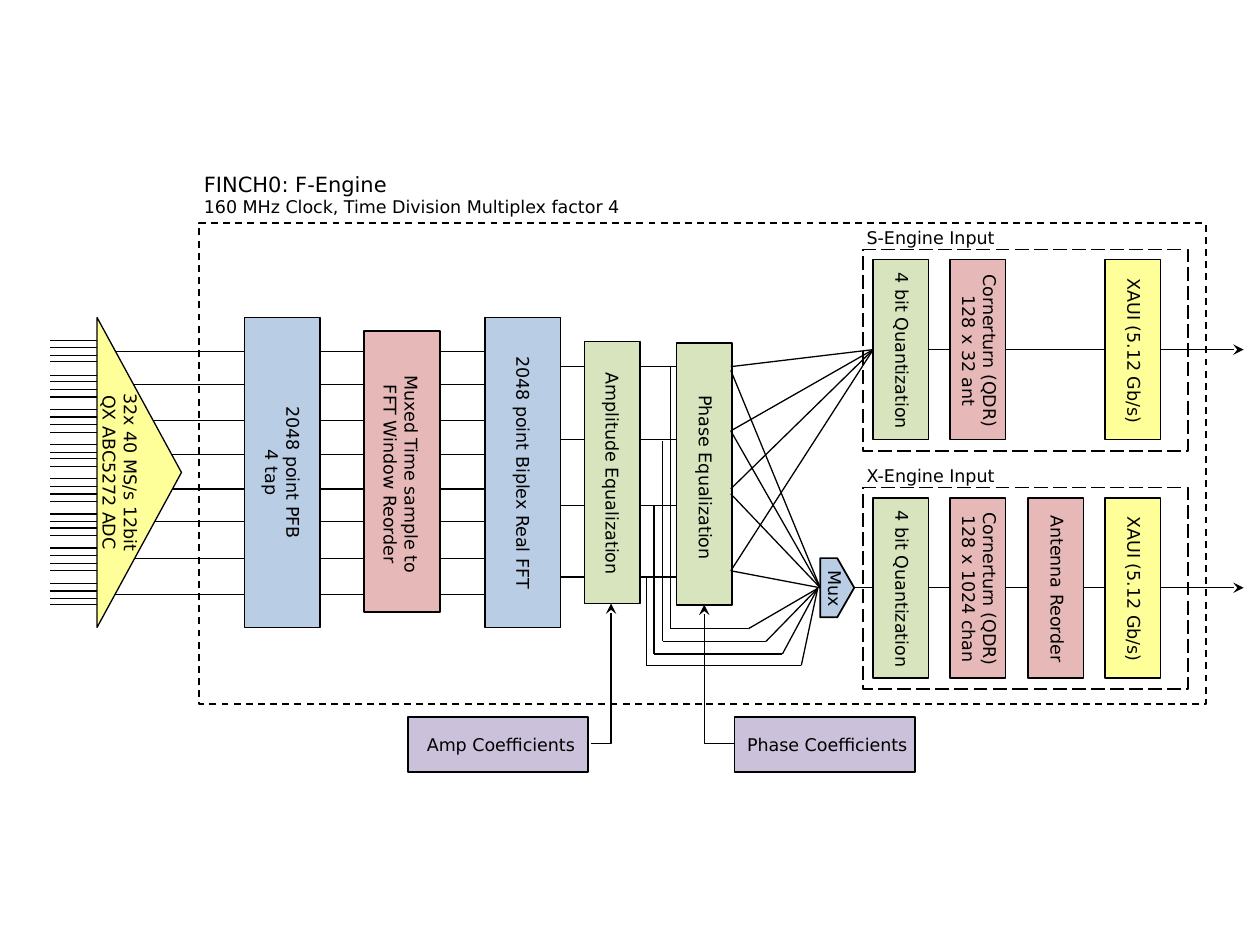
import pptx
import pptx.util
import pptx.dml.color
import pptx.enum.dml
import pptx.enum.shapes
import pptx.enum.text
import pptx.oxml.ns
from lxml import etree

PX = 9144  # 100 px to the inch
SHAPE = pptx.enum.shapes.MSO_SHAPE
CONN = pptx.enum.shapes.MSO_CONNECTOR
DASH = pptx.enum.dml.MSO_LINE
ALIGN = pptx.enum.text.PP_ALIGN
qn = pptx.oxml.ns.qn

BLUE, RED, GREEN = "B9CDE5", "E6B9B8", "D7E4BD"
YELLOW, PURPLE, BLACK = "FFFF99", "CCC1DA", "000000"


def emu(*px):
    return [round(v * PX) for v in px]


def rgb(color):
    return pptx.dml.color.RGBColor.from_string(color)


def shape(s, kind, x, y, w, h, fill=None, width=1, dash=None):
    sp = s.shapes.add_shape(kind, *emu(x, y, w, h))
    sp.shadow.inherit = False
    if fill:
        sp.fill.solid()
        sp.fill.fore_color.rgb = rgb(fill)
    else:
        sp.fill.background()
    sp.line.color.rgb = rgb(BLACK)
    sp.line.width = pptx.util.Pt(width)
    if dash:
        sp.line.dash_style = dash
    return sp


def line(s, x1, y1, x2, y2, arrow=False, kind=CONN.STRAIGHT):
    c = s.shapes.add_connector(kind, *emu(x1, y1, x2, y2))
    c.line.color.rgb = rgb(BLACK)
    c.line.width = pptx.util.Pt(0.75)
    if arrow:
        etree.SubElement(c.line._get_or_add_ln(), qn("a:tailEnd"), type="stealth")
    etree.SubElement(c._element.spPr, qn("a:effectLst"))
    return c


def corner_arrow(s, x1, y1, x2, y2):
    c = line(s, x1, y1, x2, y2, True, CONN.ELBOW)
    c._element.spPr.find(qn("a:prstGeom")).set("prst", "bentConnector2")


def text(s, content, x, y, w, h, rot=0, align=ALIGN.CENTER, sizes=(10, 10), wrap=False):
    tb = s.shapes.add_textbox(*emu(x, y, w, h))
    tb.rotation = rot
    tf = tb.text_frame
    tf.text = content
    tf.word_wrap = wrap
    tf.auto_size = pptx.enum.text.MSO_AUTO_SIZE.SHAPE_TO_FIT_TEXT
    for p, size in zip(tf.paragraphs, sizes):
        p.alignment = align
        for r in p.runs:
            r.font.size = pptx.util.Pt(size)
            r.font.name = "DejaVu Sans"
            r.font.color.rgb = rgb(BLACK)


def label(s, content, cx, cy, w, rot=90):
    h = 44 if "\n" in content else 27
    text(s, content, cx - w / 2, cy - h / 2, w, h, rot)


def block(s, x, y, w, h, fill, content, length, dx=1, dy=1, rot=90):
    sp = shape(s, SHAPE.RECTANGLE, x, y, w, h, fill)
    label(s, content, x + w / 2 + dx, y + h / 2 + dy, length, rot)
    return sp


def adc(s, x, y, w, h):
    # Sample lines, running behind the triangle to the FFT
    for i, dy in enumerate((27, 53, 82, 109, 136, 162, 191, 220)):
        left = x if i in (0, 4, 7) else x + 27
        line(s, left, y + dy, x + 308, y + dy)
    shape(s, SHAPE.ISOSCELES_TRIANGLE, x + (w - h) / 2, y + (h - w) / 2,
          h, w, YELLOW, 0.75).rotation = 90
    # Eight groups of four antenna inputs
    for group in range(8):
        for k in range(4):
            dy = round(18 + 27.57 * group + 5.8 * k)
            line(s, x - 37, y + dy, x, y + dy)
    label(s, "32x 40 MS/s 12bit\nQX ABC5272 ADC", x + 18, y + h / 2, 150)


def f_engine(s, x, y, w, h):
    # FFT outputs, behind the equalizers
    for dy in (114, 172, 224, 281):
        line(s, x + 287, y + dy, x + 388, y + dy)
    shape(s, SHAPE.RECTANGLE, x, y, w, h, dash=DASH.DASH)
    text(s, "FINCH0: F-Engine\n160 MHz Clock, Time Division Multiplex factor 4",
         x - 6, y - 46, 357, 47, align=ALIGN.LEFT, sizes=(12, 10))
    # Processing chain
    for bx, by, bw, bh, fill, content, length, dx, dy in (
        (36, 75, 60, 246, BLUE, "2048 point PFB\n4 tap", 128, 0, 0),
        (227, 75, 60, 246, BLUE, "2048 point Biplex Real FFT", 209, 0, 0),
        (131, 86, 60, 223, RED, "Muxed Time sample to\nFFT Window Reorder", 180, -1, 2),
        (306, 94, 44, 208, GREEN, "Amplitude Equalization", 182, 0, 1),
        (379, 95, 44, 208, GREEN, "Phase Equalization", 152, 1, 3),
    ):
        block(s, x + bx, y + by, bw, bh, fill, content, length, dx, dy)


def engine_input(s, x, y, w, h, title, stages):
    mid = y + 79.5
    bus = line(s, x + 52, mid, x + 192, mid)
    boxes = [block(s, x + round(8 + 61.33 * slot), y + 8, 44, 143, fill, content, length)
             for slot, fill, content, length in stages]
    bus.begin_connect(boxes[0], 3)
    bus.end_connect(boxes[-1], 1)
    out = line(s, x + 236, mid, x + 302, mid, arrow=True)
    out.begin_connect(boxes[-1], 3)
    shape(s, SHAPE.RECTANGLE, x, y, w, h, dash=DASH.LONG_DASH)
    text(s, title, x - 16, y - 23, 139, 27, wrap=True)
    return boxes[0]


def mux(s, x, y, w, h, target):
    mid = y + h / 2
    line(s, x + w, mid, x + 42, mid).end_connect(target, 1)
    shape(s, SHAPE.PENTAGON, x, y, w, h, BLUE)
    # Equalized channels
    for dy in (10, -51, -101, -149):
        line(s, x, mid, x - 71, y + 23 + dy - 23 + h - 47 if dy == 10 else y + dy)
    label(s, "Mux", x + w / 2 - 2, mid + 1, 49)
    # Channels that bypass the phase equalizer: tap x, tap y, low y, knee x
    for tx, ty, low, knee in ((-138, 15, 85, -15), (-132, -42, 76, -30),
                              (-125, -93, 66, -43), (-119, -152, 56, -57)):
        line(s, x + tx, y + low, x + tx, y + ty)
        line(s, x + knee, y + low, x + tx, y + low)
        line(s, x - 2, y + 24, x + knee, y + low)


def fan_out(s, x, y, target):
    for dy in (0, 51, 97, 162):
        line(s, x + 113, y - 14, x, y + dy).begin_connect(target, 1)


def coefficients(s, x, y, w, h, content, length, start, end_x, end_y):
    block(s, x, y, w, h, PURPLE, content, length, dx=2, dy=0, rot=0)
    corner_arrow(s, x + start, y + 21, end_x, end_y)


def main():
    prs = pptx.Presentation()
    prs.slide_width, prs.slide_height = emu(1000, 750)
    s = prs.slides.add_slide(prs.slide_layouts[6])

    adc(s, 77, 252, 67, 246)
    f_engine(s, 158, 177, 799, 382)

    quantize = (0, GREEN, "4 bit Quantization", 147)
    xaui = (3, YELLOW, "XAUI (5.12 Gb/s)", 143)
    s_input = engine_input(s, 685, 198, 258, 160, "S-Engine Input", (
        quantize, (1, RED, "Cornerturn (QDR)\n128 x 32 ant", 147), xaui))
    x_input = engine_input(s, 685, 387, 258, 160, "X-Engine Input", (
        quantize, (1, RED, "Cornerturn (QDR)\n128 x 1024 chan", 147),
        (2, RED, "Antenna Reorder", 140), xaui))

    fan_out(s, 580, 291, s_input)
    mux(s, 651, 443, 27, 47, x_input)

    coefficients(s, 324, 569, 143, 44, "Amp Coefficients", 139, 145, 485, 479)
    coefficients(s, 583, 569, 143, 44, "Phase Coefficients", 149, 0, 559, 480)

    prs.save("out.pptx")


if __name__ == "__main__":
    main()
